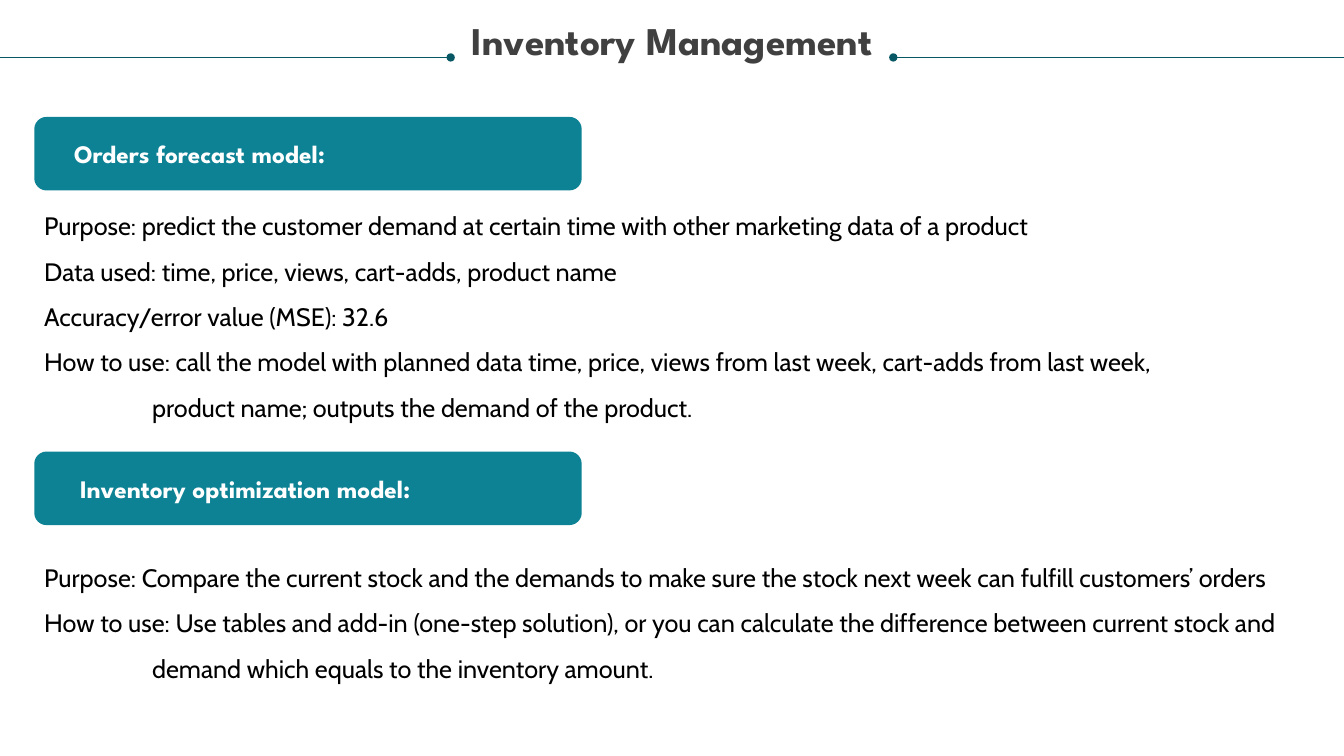
"""Build the Inventory Management slide with two model descriptions."""
from lxml.etree import SubElement
from pptx import Presentation
from pptx.dml.color import RGBColor
from pptx.enum.shapes import MSO_CONNECTOR, MSO_SHAPE
from pptx.enum.text import MSO_ANCHOR, MSO_AUTO_SIZE, PP_ALIGN
from pptx.oxml.ns import qn
from pptx.util import Inches, Pt

COLOURS = {"title": "404040", "rule": "085764", "banner": "0D8295",
           "heading": "FFFFFF", "body": "000000"}
HEADING_FONT, BODY_FONT = "League Spartan", "Cabin"
TITLE = "Inventory Management"
MODELS = [
    {"heading": "Orders forecast model:", "top": 1.16, "inset": 0.36,
     "body_box": (1.89, 11.38, 2.32),
     "lines": [
         ("Purpose: predict the customer demand at certain time with other marketing data of a product", 0),
         ("Data used: time, price, views, cart-adds, product name", 0),
         ("Accuracy/error value (MSE): 32.6", 0),
         ("How to use: call the model with planned data time, price, views from last week, cart-adds from last week,", 0),
         ("product name; outputs the demand of the product.", 1.07)]},
    {"heading": "Inventory optimization model:", "top": 4.48, "inset": 0.42,
     "body_box": (5.38, 12.64, 1.41),
     "lines": [
         ("Purpose: Compare the current stock and the demands to make sure the stock next week can fulfill customers’ orders", 0),
         ("How to use: Use tables and add-in (one-step solution), or you can calculate the difference between current stock and", 0),
         ("demand which equals to the inventory amount.", 1.07)]},
]
RULES = [(0, 4.47, "tailEnd"), (8.86, 13.33, "headEnd")]
RULE_Y = 0.57
LEFT, BANNER_WIDTH, BANNER_HEIGHT = 0.34, 5.43, 0.73


def rgb(name):
    return RGBColor.from_string(COLOURS[name])


def add_text(paragraph, text, size, font, colour, bold=False):
    run = paragraph.add_run()
    run.text = text
    run.font.size, run.font.name, run.font.bold = Pt(size), font, bold
    run.font.color.rgb = rgb(colour)


def add_title(slide):
    title = slide.shapes.title
    title.left, title.top = Inches(0.25), Inches(0.21)
    title.width, title.height = Inches(12.83), Inches(0.42)
    frame = title.text_frame
    frame.margin_left = frame.margin_right = frame.margin_top = frame.margin_bottom = 0
    frame.vertical_anchor = MSO_ANCHOR.TOP
    frame.auto_size = MSO_AUTO_SIZE.NONE
    frame.word_wrap = True
    paragraph = frame.paragraphs[0]
    paragraph.alignment, paragraph.line_spacing = PP_ALIGN.CENTER, 0.9
    paragraph.space_before = Pt(0)
    add_text(paragraph, TITLE, 28, HEADING_FONT, "title", True)


def add_rule(slide, start, end, dot_end):
    rule = slide.shapes.add_connector(MSO_CONNECTOR.STRAIGHT, Inches(start), Inches(RULE_Y),
                                      Inches(end), Inches(RULE_Y))
    rule.line.color.rgb = rgb("rule")
    rule.line.width = Pt(0.5)
    SubElement(rule.line._get_or_add_ln(), qn(f"a:{dot_end}"), type="oval")
    SubElement(rule._element.spPr, qn("a:effectLst"))


def add_model(slide, model):
    banner = slide.shapes.add_shape(MSO_SHAPE.ROUNDED_RECTANGLE, Inches(LEFT), Inches(model["top"]),
                                    Inches(BANNER_WIDTH), Inches(BANNER_HEIGHT))
    banner.shadow.inherit = False
    banner.fill.solid()
    banner.fill.fore_color.rgb = rgb("banner")
    banner.line.fill.background()
    frame = banner.text_frame
    frame.vertical_anchor = MSO_ANCHOR.MIDDLE
    frame.margin_left = Inches(model["inset"])
    heading = frame.paragraphs[0]
    heading.alignment = PP_ALIGN.LEFT
    add_text(heading, model["heading"], 18, HEADING_FONT, "heading", True)

    top, width, height = model["body_box"]
    body = slide.shapes.add_textbox(Inches(LEFT), Inches(top), Inches(width), Inches(height)).text_frame
    body.word_wrap = True
    for index, (text, indent) in enumerate(model["lines"]):
        paragraph = body.add_paragraph() if index else body.paragraphs[0]
        paragraph.line_spacing = 1.5
        if indent:
            paragraph._p.get_or_add_pPr().set("marL", str(Inches(indent)))
        add_text(paragraph, text, 18, BODY_FONT, "body")


def main():
    deck = Presentation()
    deck.slide_width, deck.slide_height = Inches(13.33), Inches(7.5)
    slide = deck.slides.add_slide(deck.slide_layouts[5])
    add_title(slide)
    for rule in RULES:
        add_rule(slide, *rule)
    for model in MODELS:
        add_model(slide, model)
    deck.save("out.pptx")


if __name__ == "__main__":
    main()
